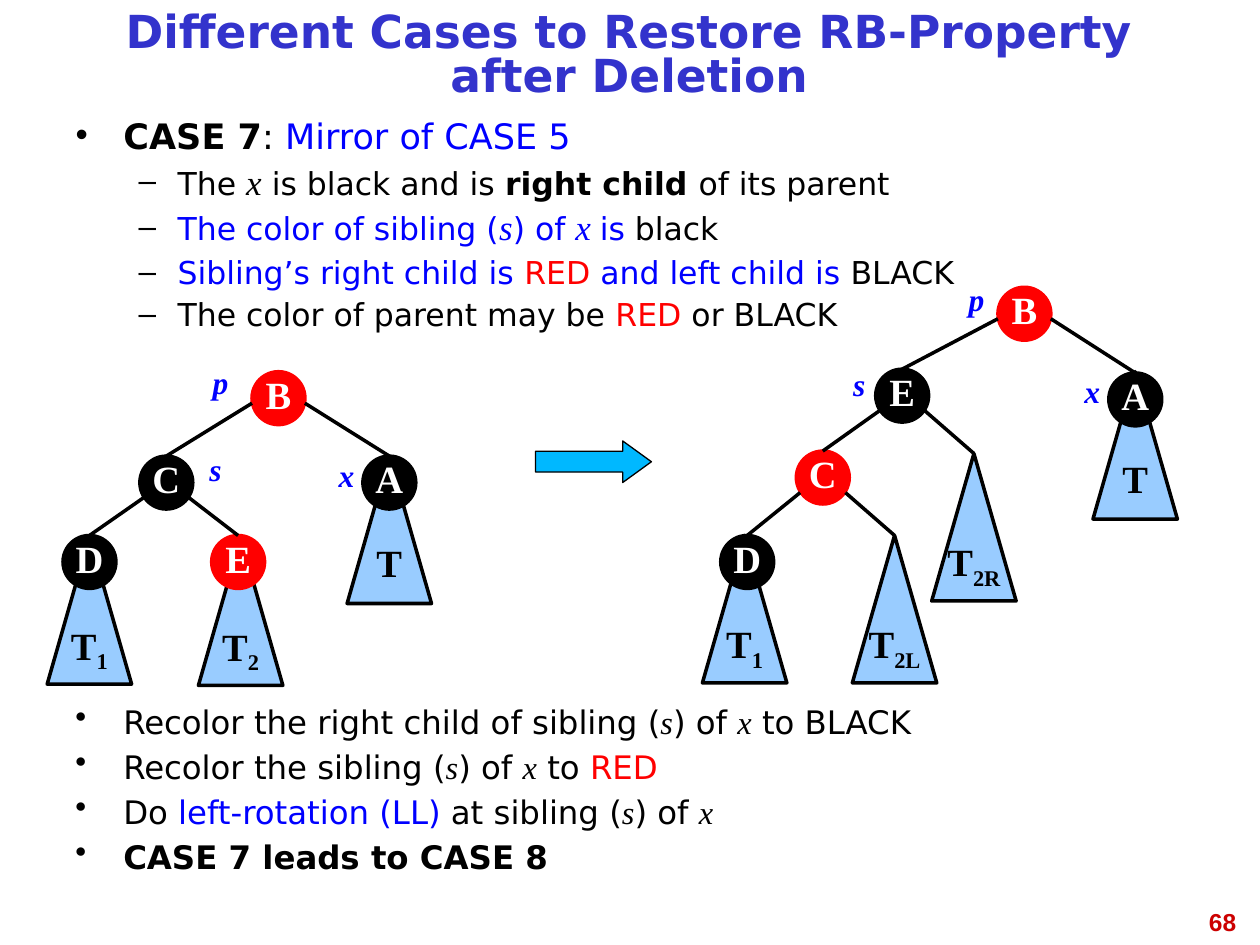
from lxml.etree import SubElement
from pptx import Presentation
from pptx.dml.color import RGBColor
from pptx.enum.shapes import MSO_CONNECTOR, MSO_SHAPE
from pptx.enum.text import MSO_ANCHOR, MSO_AUTO_SIZE, PP_ALIGN
from pptx.oxml.ns import qn
from pptx.util import Inches, Pt

SANS, SERIF = "DejaVu Sans", "Times New Roman"
BLACK, WHITE, RED, BLUE = "000000", "FFFFFF", "FF0000", "0000FF"
SIZE = 0.42

BOLD = {"bold": True}
INK = {"color": BLUE}
HOT = {"color": RED}
VAR = {"font": SERIF, "italic": True}
BIG = {**VAR, "size": 20}

CASE = [
    (0, 20, [("CASE 7", BOLD), (": ", {}), ("Mirror of CASE 5", INK)]),
    (1, 18, [("The ", {}), ("x", BIG), (" is black and is ", {}),
             ("right child ", BOLD), ("of its parent", {})]),
    (1, 18, [("The color of sibling (", INK), ("s", {**BIG, **INK}), (") of ", INK),
             ("x ", {**BIG, **INK}), ("is ", INK), ("black", {})]),
    (1, 18, [("Sibling’s right child is ", INK), ("RED", HOT),
             (" and left child is ", INK), ("BLACK", {})]),
    (1, 18, [("The color of parent may be ", {}), ("RED", HOT), (" or BLACK", {})]),
]
STEPS = [
    (0, 18.5, [("Recolor the right child of sibling (", {}), ("s", VAR),
               (") of ", {}), ("x", VAR), (" to BLACK", {})]),
    (0, 18.5, [("Recolor the sibling (", {}), ("s", VAR), (") of ", {}),
               ("x", VAR), (" to ", {}), ("RED", HOT)]),
    (0, 18.5, [("Do ", {}), ("left-rotation (LL)", INK), (" at sibling (", {}),
               ("s", VAR), (") of ", {}), ("x", VAR)]),
    (0, 18.5, [("CASE 7 leads to CASE 8", BOLD)]),
]

BEFORE = {
    "nodes": {"B": (1.83, 0.12, RED), "C": (0.94, 0.79, BLACK), "A": (2.71, 0.79, BLACK),
              "D": (0.33, 1.42, BLACK), "E": (1.51, 1.42, RED)},
    "leaves": {"T": (2.71, 0.79), "T1": (0.33, 1.43), "T2": (1.53, 1.44)},
    "edges": [("B", "C"), ("B", "A"), ("C", "D"), ("C", "E")],
    "tags": {"p": (1.37, 0), "s": (1.33, 0.69), "x": (2.37, 0.74)},
}
AFTER = {
    "nodes": {"B": (2.55, 0.11, RED), "E": (1.58, 0.76, BLACK), "A": (3.43, 0.79, BLACK),
              "C": (0.95, 1.41, RED), "D": (0.35, 2.08, BLACK)},
    "leaves": {"T": (3.43, 0.78), "T2R": (2.15, 1.43), "T1": (0.33, 2.08),
               "T2L": (1.52, 2.08)},
    "edges": [("B", "E"), ("B", "A"), ("E", "C"), ("E", "T2R"), ("C", "D"), ("C", "T2L")],
    "tags": {"p": (2.17, 0), "s": (1.24, 0.68), "x": (3.09, 0.73)},
}


def hue(code):
    """Turn a hex string into a colour."""
    return RGBColor.from_string(code)


def write(para, text, size=18, font=SANS, color=BLACK, bold=False, italic=False, base=0):
    """Add one formatted run to a paragraph."""
    run = para.add_run()
    run.text = text
    face = run.font
    face.size, face.name, face.bold, face.italic = Pt(size), font, bold, italic
    face.color.rgb = hue(color)
    if base:
        run._r.get_or_add_rPr().set("baseline", str(base * 1000))


def place(shape, box):
    """Move a shape into a box given in inches."""
    shape.left, shape.top, shape.width, shape.height = map(Inches, box)


def bullet(para, level):
    """Give a paragraph its hanging bullet."""
    props = para._p.get_or_add_pPr()
    left, hang, mark = ((0.38, 0.38, "•"), (0.81, 0.31, "–"))[level]
    props.set("marL", str(Inches(left)))
    props.set("indent", str(-Inches(hang)))
    SubElement(SubElement(props, qn("a:buClr")), qn("a:srgbClr")).set("val", BLACK)
    SubElement(props, qn("a:buChar")).set("char", mark)
    para.level = level


def items(shape, box, rows):
    """Fill a text shape with a bulleted list."""
    place(shape, box)
    frame = shape.text_frame
    frame.word_wrap, frame.auto_size = True, MSO_AUTO_SIZE.NONE
    frame.vertical_anchor = MSO_ANCHOR.TOP
    for i, (level, size, runs) in enumerate(rows):
        para = frame.add_paragraph() if i else frame.paragraphs[0]
        bullet(para, level)
        para.alignment, para.line_spacing = PP_ALIGN.JUSTIFY, 0.8
        para.space_before = Pt((8, 7)[level] if i else 0)
        for text, style in runs:
            write(para, text, **{"size": size, **style})


def head(shape, box, text):
    """Set the slide title."""
    place(shape, box)
    frame = shape.text_frame
    frame.word_wrap, frame.auto_size = True, MSO_AUTO_SIZE.NONE
    frame.vertical_anchor = MSO_ANCHOR.MIDDLE
    para = frame.paragraphs[0]
    para.alignment, para.line_spacing = PP_ALIGN.CENTER, 0.81
    write(para, text, size=26, color="3333CC", bold=True)


def label(slide, box, text, align=PP_ALIGN.CENTER, **style):
    """Add a one-line text box."""
    shape = slide.shapes.add_textbox(*map(Inches, box))
    shape.text_frame.word_wrap = True
    para = shape.text_frame.paragraphs[0]
    para.alignment = align
    write(para, text, bold=True, **style)


def solid(slide, kind, box, fill, line, width=2, text="", color=BLACK):
    """Add a filled shape whose label has its first letter full size."""
    shape = slide.shapes.add_shape(kind, *map(Inches, box))
    shape.shadow.inherit = False
    shape.fill.solid()
    shape.fill.fore_color.rgb = hue(fill)
    shape.line.color.rgb = hue(line)
    shape.line.width = Pt(width)
    if text:
        frame = shape.text_frame
        frame.word_wrap, frame.vertical_anchor = False, MSO_ANCHOR.MIDDLE
        para = frame.paragraphs[0]
        para.alignment, para.line_spacing = PP_ALIGN.CENTER, 0.81
        style = {"size": 22, "font": SERIF, "color": color, "bold": True}
        write(para, text[0], **style)
        if text[1:]:
            write(para, text[1:], base=-25, **style)
    return shape


def edge(slide, parent, child, root):
    """Join the side of a parent node to the top of its child."""
    inset, drop = (0, 0.25) if root else (0.03, 0.33)
    right = child.left + child.width / 2 > parent.left + parent.width / 2
    x = parent.left + (parent.width - Inches(inset) if right else Inches(inset))
    y = parent.top + Inches(drop)
    line = slide.shapes.add_connector(MSO_CONNECTOR.STRAIGHT, x, y, child.left, child.top)
    line.end_connect(child, 0)
    line.line.color.rgb = hue(BLACK)
    line.line.width = Pt(2)
    SubElement(line._element.spPr, qn("a:effectLst"))


def tree(slide, left, top, nodes, leaves, edges, tags):
    """Draw a tree from centre and top positions relative to a corner."""
    parts = {}
    for name, (x, y) in leaves.items():
        box = (left + x - 0.335, top + y, 0.67, 1.17)
        parts[name] = solid(slide, MSO_SHAPE.ISOSCELES_TRIANGLE, box, "99CCFF", BLACK,
                            text=name)
    for name, (x, y, fill) in nodes.items():
        box = (left + x - SIZE / 2, top + y, SIZE, SIZE)
        parts[name] = solid(slide, MSO_SHAPE.OVAL, box, fill, fill, text=name, color=WHITE)
    for start, end in edges:
        edge(slide, parts[start], parts[end], start == "B")
    for name, (x, y) in tags.items():
        label(slide, (left + x - 0.25, top + y, 0.5, 0.4), name, color=BLUE, **VAR)


def main():
    """Build and save the slide."""
    deck = Presentation()
    deck.slide_width, deck.slide_height = Inches(10), Inches(7.5)
    slide = deck.slides.add_slide(deck.slide_layouts[1])
    head(slide.shapes.title, (0.5, 0.08, 8.99, 0.75),
         "Different Cases to Restore RB-Property after Deletion")
    items(slide.placeholders[1], (0.5, 0.92, 8.99, 1.92), CASE)
    steps = (0.5, 5.58, 8.99, 1.67)
    items(slide.shapes.add_textbox(*map(Inches, steps)), steps, STEPS)
    tree(slide, 0.38, 2.83, **BEFORE)
    arrow = solid(slide, MSO_SHAPE.RIGHT_ARROW, (4.25, 3.5, 0.92, 0.33), "00B8FF", BLACK, 0.75)
    arrow.adjustments[1] = 0.69
    tree(slide, 5.58, 2.17, **AFTER)
    label(slide, (7.58, 7.15, 2.33, 0.52), "68", PP_ALIGN.RIGHT, size=14, font="Arial",
          color="CC0000")
    deck.save("out.pptx")


if __name__ == "__main__":
    main()
